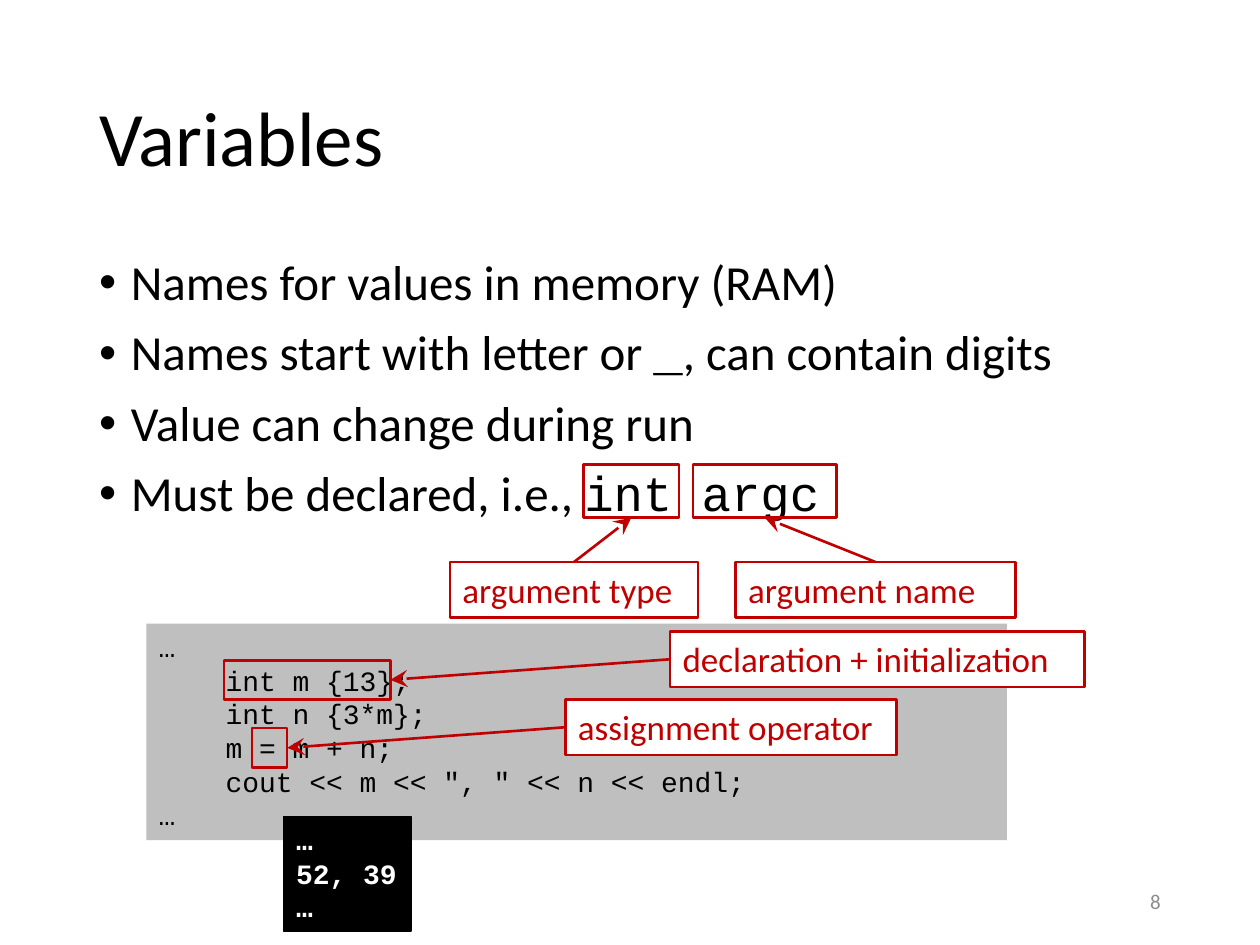
from lxml import etree
from pptx import Presentation
from pptx.dml.color import RGBColor
from pptx.enum.shapes import MSO_CONNECTOR, MSO_SHAPE
from pptx.enum.text import MSO_ANCHOR, PP_ALIGN
from pptx.oxml.ns import qn
from pptx.util import Cm, Pt

RECT, LINE = MSO_SHAPE.RECTANGLE, MSO_CONNECTOR.STRAIGHT
TOP, MID = MSO_ANCHOR.TOP, MSO_ANCHOR.MIDDLE
LEFT, RIGHT = PP_ALIGN.LEFT, PP_ALIGN.RIGHT

THEME = {
    "sans": "Calibri", "mono": "Courier New",
    "ink": "000000", "paper": "FFFFFF", "red": "C00000",
    "gray": "BFBFBF", "dim": "8C8C8C",
    "title": 44, "body": 28, "label": 20, "code": 16, "page": 12,
}

TITLE = ["Variables"]
POINTS = [
    "Names for values in memory (RAM)",
    [("Names start with letter or ", "sans"), ("_", "mono"),
     (", can contain digits", "sans")],
    "Value can change during run",
    [("Must be declared, i.e., ", "sans"), ("int argc", "mono")],
]
CODE = [
    "…",
    "    int m {13};",
    "    int n {3*m};",
    "    m = m + n;",
    '    cout << m << ", " << n << endl;',
    "…",
]
OUTPUT = ["…", "52, 39", "…"]
PAGE = ["8"]

HIGH = 1.12
UP, BACK = (0, 2), (1, 3)
ARGS = [
    ("argument type", (9.07, 11.33, 5), (11.76, 9.37, 1.93, 1.07), UP),
    ("argument name", (14.83, 11.33, 5.64), (13.97, 9.37, 2.9, 1.07), UP),
]
STEPS = [
    ("assignment operator", (11.4, 14.1, 6.68), (5.08, 14.68, 0.71, 0.79), BACK),
    ("declaration + initialization", (13.51, 12.73, 8.36),
     (4.52, 13.31, 3.35, 0.79), BACK),
]


def tint(name):
    return RGBColor.from_string(THEME[name])


def write(shape, rows, size="body", face="sans", color="ink", bold=False,
          align=LEFT, anchor=TOP, wrap=True, bullet=None, lead=None, gap=0):
    frame = shape.text_frame
    frame.word_wrap = wrap
    frame.vertical_anchor = anchor
    for i, row in enumerate(rows):
        para = frame.add_paragraph() if i else frame.paragraphs[0]
        para.alignment = align
        if lead:
            para.line_spacing = lead
        if gap and i:
            para.space_before = Pt(gap)
        if bullet:
            props = para._p.get_or_add_pPr()
            props.set("marL", str(Cm(0.64)))
            props.set("indent", str(-Cm(0.64)))
            font = etree.SubElement(props, qn("a:buFont"))
            font.set("typeface", "Arial")
            etree.SubElement(props, qn("a:buChar")).set("char", bullet)
        for text, kind in [(row, face)] if isinstance(row, str) else row:
            run = para.add_run()
            run.text = text
            run.font.name = THEME[kind]
            run.font.size = Pt(THEME[size])
            run.font.bold = bold
            run.font.color.rgb = tint(color)


def field(slide, *spot):
    return slide.shapes.add_textbox(*map(Cm, spot))


def box(slide, spot, fill=None, edge=None, width=1.5):
    shape = slide.shapes.add_shape(RECT, *map(Cm, spot))
    shape.shadow.inherit = False
    if fill:
        shape.fill.solid()
        shape.fill.fore_color.rgb = tint(fill)
    else:
        shape.fill.background()
    if edge:
        shape.line.color.rgb = tint(edge)
        shape.line.width = Pt(width)
    else:
        shape.line.fill.background()
    return shape


def arrow(slide, start, end, sides):
    line = slide.shapes.add_connector(LINE, 0, 0, 0, 0)
    line.begin_connect(start, sides[0])
    line.end_connect(end, sides[1])
    line.line.color.rgb = tint("red")
    line.line.width = Pt(1.5)
    tip = etree.SubElement(line.line._get_or_add_ln(), qn("a:tailEnd"))
    tip.set("type", "stealth")
    tip.set("w", "lg")
    tip.set("len", "lg")
    etree.SubElement(line._element.spPr, qn("a:effectLst"))


def callouts(slide, notes):
    for text, spot, mark, sides in notes:
        label = box(slide, (*spot, HIGH), "paper", "red")
        write(label, [text], size="label", color="red")
        frame = box(slide, mark, edge="red")
        arrow(slide, label, frame, sides)


def main():
    deck = Presentation()
    deck.slide_width, deck.slide_height = Cm(25.4), Cm(19.05)
    slide = deck.slides.add_slide(deck.slide_layouts[6])
    write(field(slide, 1.75, 1.02, 21.89, 3.68), TITLE, size="title",
          anchor=MID, lead=0.9)
    write(field(slide, 1.75, 5.08, 21.89, 12.09), POINTS, bullet="•",
          lead=0.9, gap=10)
    write(field(slide, 17.93, 17.65, 5.72, 1.02), PAGE, size="page",
          color="dim", align=RIGHT, anchor=MID)
    callouts(slide, ARGS)
    write(box(slide, (2.95, 12.57, 17.35, 4.37), "gray"), CODE,
          size="code", face="mono")
    write(box(slide, (5.72, 16.46, 2.57, 2.31), "ink", "ink", 0.75), OUTPUT,
          size="code", face="mono", color="paper", bold=True, wrap=False)
    callouts(slide, STEPS)
    deck.save("out.pptx")


if __name__ == "__main__":
    main()
